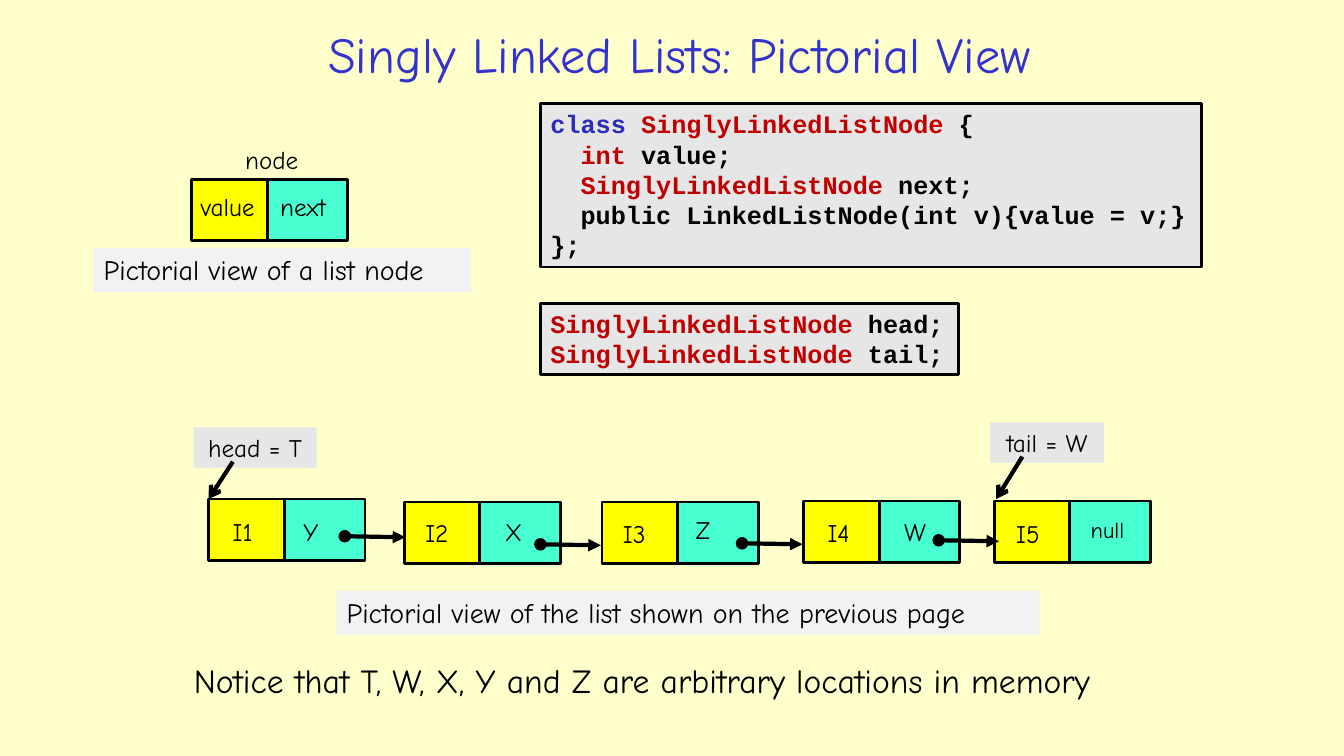
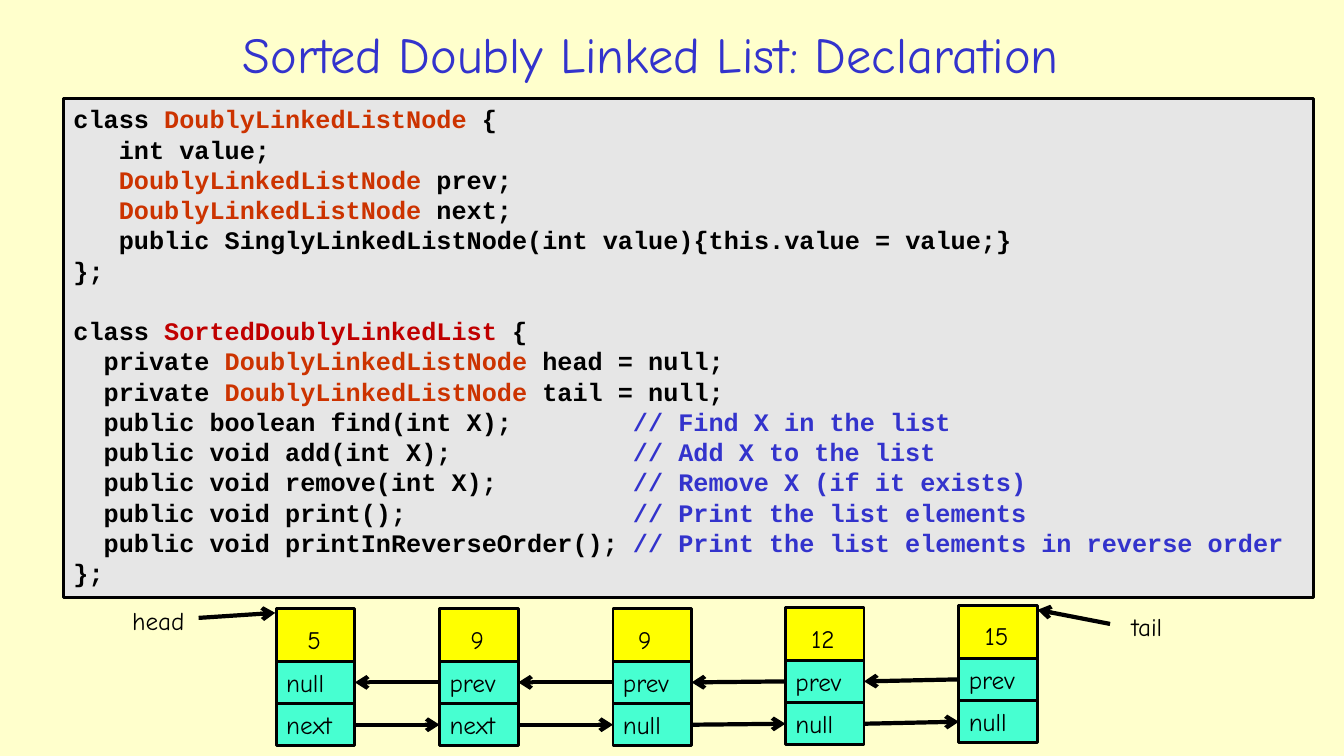
from dataclasses import dataclass
from itertools import pairwise
from typing import NamedTuple

from lxml.etree import SubElement
from pptx import Presentation
from pptx.dml.color import RGBColor
from pptx.enum.shapes import MSO_CONNECTOR as Connector, MSO_SHAPE as Preset
from pptx.enum.text import MSO_ANCHOR as Anchor, MSO_AUTO_SIZE as AutoSize, PP_ALIGN as Align
from pptx.oxml.ns import qn
from pptx.util import Emu, Pt

SCALE = 9144


@dataclass(frozen=True)
class Theme:
    """Colours, fonts and type sizes of the deck."""
    paper: str = "FFFFCC"
    ink: str = "000000"
    title: str = "3333CC"
    keyword: str = "2D2DB9"
    red: str = "C00000"
    orange: str = "CC3300"
    panel: str = "E6E6E6"
    caption: str = "F2F2F2"
    value: str = "FFFF00"
    link: str = "47FFD1"
    font: str = "Comic Neue"
    code_font: str = "Courier New"
    title_size: int = 36
    note_size: int = 24
    caption_size: int = 20
    body_size: int = 18
    small_size: int = 16
    outline: int = 2
    arrow: int = 3


THEME = Theme()


class Area(NamedTuple):
    """A rectangle in px."""
    left: int
    top: int
    width: int
    height: int


class Span(NamedTuple):
    """A stretch of code in one colour."""
    text: str
    color: str = THEME.ink


class Label(NamedTuple):
    """A short text and its area."""
    text: str
    area: Area
    size: int = THEME.body_size


class Arrow(NamedTuple):
    """A line between two points with its end marks."""
    start: tuple[int, int]
    end: tuple[int, int]
    head: str = ""
    tail: str = "arrow"


@dataclass(frozen=True)
class SingleNode:
    """A node with a value cell and a next cell side by side."""
    left: int
    top: int
    value: Label
    following: Label


@dataclass(frozen=True)
class DoubleNode:
    """A node with value, prev and next cells stacked."""
    left: int
    top: int
    value: str
    value_left: int
    previous: str
    following: str


def px(length: int) -> Emu:
    """Turn px into EMU."""
    return Emu(length * SCALE)


def rgb(color: str) -> RGBColor:
    """Turn a hex string into a colour."""
    return RGBColor.from_string(color)


def style(font, size: int, color: str = THEME.ink, name: str = THEME.font, bold: bool = False) -> None:
    """Set the look of a font."""
    font.name, font.size, font.bold = name, Pt(size), bold
    font.color.rgb = rgb(color)


def add_rect(page, area: Area, fill: str, outlined: bool = True):
    """Draw a flat rectangle."""
    box = page.shapes.add_shape(Preset.RECTANGLE, *map(px, area))
    box.shadow.inherit = False
    box.fill.solid()
    box.fill.fore_color.rgb = rgb(fill)
    if outlined:
        box.line.color.rgb = rgb(THEME.ink)
        box.line.width = Pt(THEME.outline)
    else:
        box.line.fill.background()
    return box


def write(box, text: str, size: int = THEME.body_size, color: str = THEME.ink,
          align: Align = Align.LEFT, anchor: Anchor = Anchor.TOP, wrap: bool = True) -> None:
    """Put one styled paragraph in a box."""
    frame = box.text_frame
    frame.text = text
    frame.word_wrap = wrap
    frame.auto_size = AutoSize.NONE if wrap else AutoSize.SHAPE_TO_FIT_TEXT
    frame.vertical_anchor = anchor
    para = frame.paragraphs[0]
    para.alignment = align
    style(para.runs[0].font, size, color)


def add_label(page, label: Label, align: Align = Align.LEFT) -> None:
    """Draw a short unwrapped text."""
    box = page.shapes.add_textbox(*map(px, label.area))
    write(box, label.text, label.size, align=align, wrap=False)


def add_title(page, text: str, area: Area) -> None:
    """Draw the slide title."""
    box = page.shapes.add_textbox(*map(px, area))
    write(box, text, THEME.title_size, THEME.title, Align.CENTER, Anchor.MIDDLE)


def add_tag(page, label: Label, fill: str, align: Align = Align.LEFT) -> None:
    """Draw a text on a plain band."""
    write(add_rect(page, label.area, fill, outlined=False), label.text, label.size, align=align)


def add_code(page, area: Area, lines: list[list[Span]], comment_stop: int = 0, gap_before: int = -1) -> None:
    """Draw a code panel, with a blank line's space before one line."""
    frame = add_rect(page, area, THEME.panel).text_frame
    frame.word_wrap = True
    frame.vertical_anchor = Anchor.TOP
    for index, line in enumerate(lines):
        para = frame.paragraphs[0] if index == 0 else frame.add_paragraph()
        if comment_stop:
            stops = SubElement(para._p.get_or_add_pPr(), qn("a:tabLst"))
            SubElement(stops, qn("a:tab"), pos=str(px(comment_stop)), algn="l")
        para.alignment = Align.LEFT
        if index == gap_before:
            para.space_before = Pt(THEME.body_size * 1.2)
        for span in line:
            run = para.add_run()
            run.text = span.text
            style(run.font, THEME.body_size, span.color, THEME.code_font, bold=True)


def add_arrow(page, arrow: Arrow):
    """Draw a straight connector with end marks."""
    line = page.shapes.add_connector(Connector.STRAIGHT, *map(px, arrow.start + arrow.end))
    line.line.color.rgb = rgb(THEME.ink)
    line.line.width = Pt(THEME.arrow)
    outline = line.line._get_or_add_ln()
    for tag, mark in (("a:headEnd", arrow.head), ("a:tailEnd", arrow.tail)):
        if mark:
            SubElement(outline, qn(tag), type=mark)
    SubElement(line._element.spPr, qn("a:effectLst"))
    return line


def join(page, source, source_side: int, target, target_side: int) -> None:
    """Draw an arrow glued to the sides of two cells."""
    line = add_arrow(page, Arrow((0, 0), (0, 0)))
    line.begin_connect(source, source_side)
    line.end_connect(target, target_side)


def add_single_node(page, node: SingleNode) -> None:
    """Draw a singly linked node."""
    add_rect(page, Area(node.left + 75, node.top, 80, 61), THEME.link)
    add_rect(page, Area(node.left, node.top, 75, 61), THEME.value)
    add_label(page, node.value)
    add_label(page, node.following)


def add_double_node(page, node: DoubleNode) -> tuple:
    """Draw a doubly linked node and return its prev and next cells."""
    add_rect(page, Area(node.left, node.top, 78, 52), THEME.value)
    add_label(page, Label(node.value, Area(node.value_left, node.top + 10, 36 if len(node.value) == 1 else 47, 40)))
    cells = []
    for row, text in enumerate((node.previous, node.following)):
        cell = add_rect(page, Area(node.left, node.top + 52 + 42 * row, 78, 42), THEME.link)
        write(cell, text, anchor=Anchor.MIDDLE)
        cells.append(cell)
    return tuple(cells)


def build_singly(page) -> None:
    """Build the singly linked list slide."""
    add_title(page, "Singly Linked Lists: Pictorial View", Area(197, 15, 954, 76))
    name = "SinglyLinkedListNode"
    add_code(page, Area(536, 103, 656, 162), [
        [Span("class ", THEME.keyword), Span(name, THEME.red), Span(" {")],
        [Span("  int ", THEME.red), Span("value;")],
        [Span(f"  {name}", THEME.red), Span(" next;")],
        [Span("  public LinkedListNode(int v){value = v;}")],
        [Span("};")],
    ])
    add_code(page, Area(536, 301, 415, 71),
             [[Span(f"{name} ", THEME.red), Span(f"{end};")] for end in ("head", "tail")])
    add_label(page, Label("node", Area(232, 138, 75, 40)), Align.CENTER)
    for node in (
        SingleNode(190, 178, Label("value", Area(189, 185, 79, 40)), Label("next", Area(268, 185, 74, 40))),
        SingleNode(207, 495, Label("I1", Area(221, 507, 45, 40)), Label("Y", Area(291, 507, 36, 40))),
        SingleNode(401, 498, Label("I2", Area(412, 508, 49, 40)), Label("X", Area(491, 507, 38, 40))),
        SingleNode(597, 498, Label("I3", Area(608, 509, 49, 40)), Label("Z", Area(680, 505, 38, 40))),
        SingleNode(797, 497, Label("I4", Area(811, 508, 49, 40)), Label("W", Area(887, 507, 47, 40))),
        SingleNode(986, 497, Label("I5", Area(998, 509, 49, 40)),
                   Label("null", Area(1072, 507, 56, 37), THEME.small_size)),
    ):
        add_single_node(page, node)
    for tag in (Label("head = T", Area(192, 424, 122, 40)), Label("tail = W", Area(982, 419, 113, 40))):
        add_tag(page, tag, THEME.panel, Align.CENTER)
    for tag in (
        Label("Pictorial view of a list node", Area(93, 246, 374, 44), THEME.caption_size),
        Label("Pictorial view of the list shown on the previous page", Area(334, 586, 697, 44), THEME.caption_size),
    ):
        add_tag(page, tag, THEME.caption)
    for left, top in ((342, 532), (536, 540), (736, 539), (931, 536)):
        add_arrow(page, Arrow((left, top), (left + 60, top + 1), "oval", "triangle"))
    add_arrow(page, Arrow((231, 458), (207, 495)))
    add_arrow(page, Arrow((1014, 453), (988, 495)))
    note = page.shapes.add_textbox(*map(px, Area(78, 650, 1117, 50)))
    write(note, "Notice that T, W, X, Y and Z are arbitrary locations in memory", THEME.note_size, align=Align.CENTER)


def build_doubly(page) -> None:
    """Build the doubly linked list slide."""
    add_title(page, "Sorted Doubly Linked List: Declaration", Area(54, 15, 1183, 76))
    node_type = Span("DoublyLinkedListNode ", THEME.orange)
    methods = (
        ("boolean find(int X);", "Find X in the list"),
        ("void add(int X);", "Add X to the list"),
        ("void remove(int X);", "Remove X (if it exists)"),
        ("void print();", "Print the list elements"),
        ("void printInReverseOrder();", "Print the list elements in reverse order"),
    )
    add_code(page, Area(63, 98, 1240, 495), [
        [Span("class "), node_type, Span("{")],
        [Span("   int value;")],
        *([Span("   "), node_type, Span(f"{field};")] for field in ("prev", "next")),
        [Span("   public SinglyLinkedListNode(int value){this.value = value;}")],
        [Span("};")],
        [Span("class "), Span("SortedDoublyLinkedList", THEME.red), Span(" {")],
        *([Span("  private "), node_type, Span(f"{field} = null;")] for field in ("head", "tail")),
        *([Span(f"  public {method}\t"), Span(f"// {comment}", THEME.title)] for method, comment in methods),
        [Span("};")],
    ], comment_stop=555, gap_before=6)
    cells = [add_double_node(page, node) for node in (
        DoubleNode(274, 604, "5", 295, "null", "next"),
        DoubleNode(436, 604, "9", 457, "prev", "next"),
        DoubleNode(608, 604, "9", 623, "prev", "null"),
        DoubleNode(779, 603, "12", 795, "prev", "null"),
        DoubleNode(951, 601, "15", 967, "prev", "null"),
    )]
    for (left_prev, left_next), (right_prev, right_next) in pairwise(cells):
        join(page, right_prev, 1, left_prev, 3)
        join(page, left_next, 3, right_next, 1)
    add_label(page, Label("head", Area(119, 596, 76, 40)), Align.CENTER)
    add_label(page, Label("tail", Area(1108, 602, 59, 40)), Align.CENTER)
    add_arrow(page, Arrow((197, 613), (273, 608)))
    add_arrow(page, Arrow((1101, 619), (1029, 605)))


def main() -> None:
    """Build and save the deck."""
    deck = Presentation()
    deck.slide_width, deck.slide_height = px(1333), px(750)
    paper = deck.slide_master.background.fill
    paper.solid()
    paper.fore_color.rgb = rgb(THEME.paper)
    for build in (build_singly, build_doubly):
        build(deck.slides.add_slide(deck.slide_layouts[6]))
    deck.save("out.pptx")


if __name__ == "__main__":
    main()
